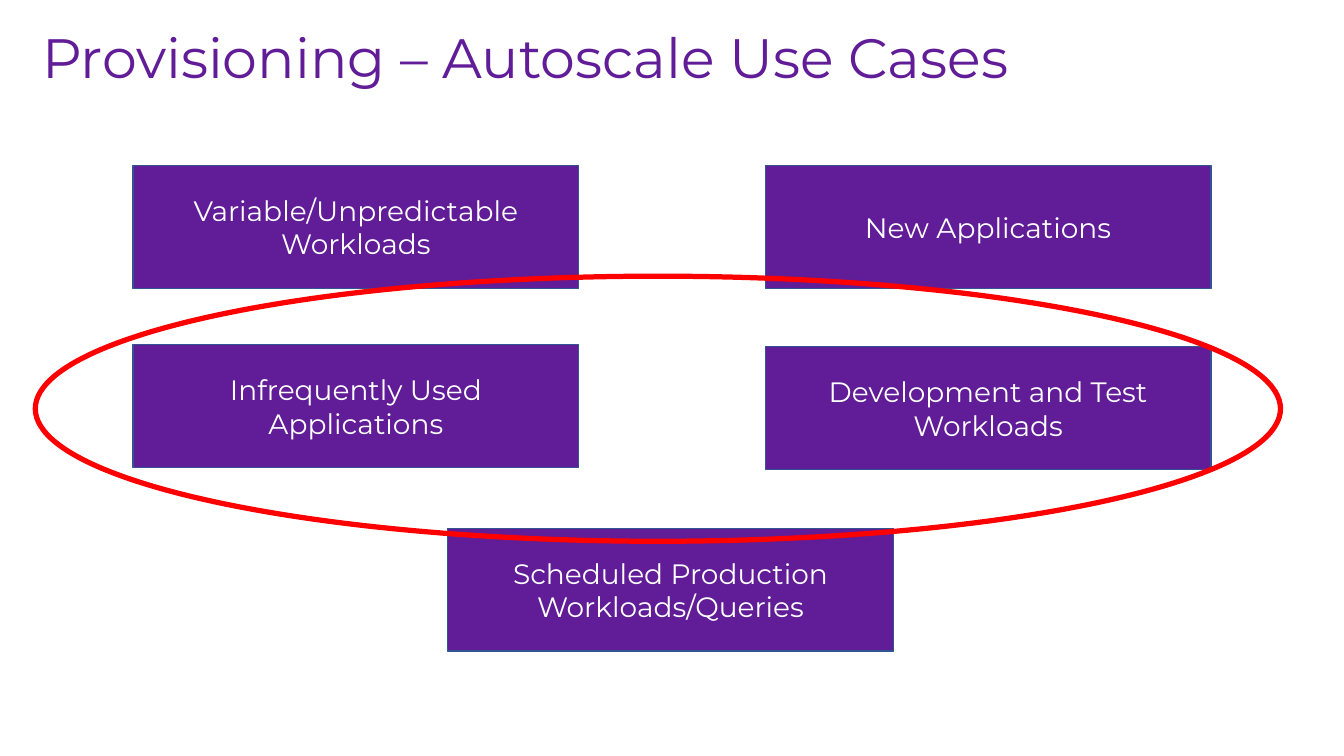
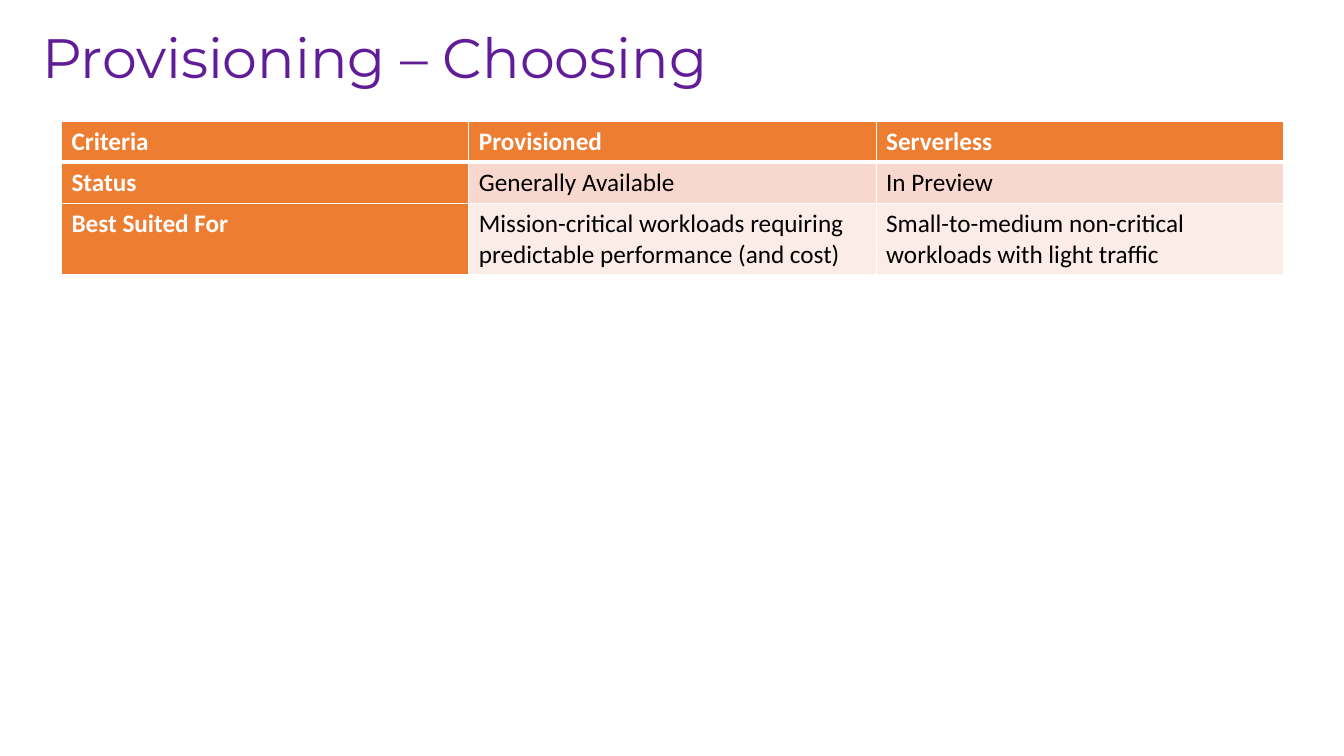
"""Build two slides about choosing a provisioning model."""
from dataclasses import dataclass

from lxml import etree
from pptx import Presentation
from pptx.dml.color import RGBColor
from pptx.enum.shapes import MSO_SHAPE
from pptx.enum.text import MSO_ANCHOR, PP_ALIGN
from pptx.oxml.ns import qn
from pptx.util import Inches, Pt

RECTANGLE = MSO_SHAPE.RECTANGLE
OVAL = MSO_SHAPE.OVAL
MIDDLE = MSO_ANCHOR.MIDDLE
CENTER = PP_ALIGN.CENTER
LEFT = PP_ALIGN.LEFT
BLANK_LAYOUT = 6


@dataclass(frozen=True)
class Theme:
    purple: str = "611C97"
    outline: str = "325491"
    highlight: str = "FF0000"
    header: str = "ED7D31"
    bands: tuple = ("F8D7CE", "FCECE8")
    white: str = "FFFFFF"
    black: str = "000000"
    display_font: str = "Montserrat"
    table_font: str = "Calibri"
    title_size: float = 39.6
    box_size: float = 20
    table_size: float = 18


class Deck:
    def __init__(self, theme):
        self.theme = theme
        self.presentation = Presentation()
        self.presentation.slide_width = Inches(13.33)
        self.presentation.slide_height = Inches(7.5)
        self.slide = None

    def set_text(self, frame, text, font, size, color, bold=False, align=LEFT):
        frame.word_wrap = True
        paragraph = frame.paragraphs[0]
        paragraph.text = text
        paragraph.alignment = align
        paragraph.font.name = font
        paragraph.font.size = Pt(size)
        paragraph.font.bold = bold
        paragraph.font.color.rgb = RGBColor.from_string(color)
        return paragraph

    def add_slide(self, title):
        layout = self.presentation.slide_layouts[BLANK_LAYOUT]
        self.slide = self.presentation.slides.add_slide(layout)
        heading = self.slide.shapes.add_textbox(
            Inches(0.32), Inches(0.23), Inches(12.66), Inches(0.74))
        heading.text_frame.vertical_anchor = MIDDLE
        paragraph = self.set_text(heading.text_frame, title, self.theme.display_font,
                                  self.theme.title_size, self.theme.purple)
        paragraph.line_spacing = 0.9

    def add_outlined(self, preset, left, top, width, height, color, weight):
        shape = self.slide.shapes.add_shape(
            preset, Inches(left), Inches(top), Inches(width), Inches(height))
        shape.shadow.inherit = False
        shape.line.color.rgb = RGBColor.from_string(color)
        shape.line.width = Pt(weight)
        return shape

    def add_box(self, text, left, top):
        box = self.add_outlined(RECTANGLE, left, top, 4.42, 1.22, self.theme.outline, 1)
        box.fill.solid()
        box.fill.fore_color.rgb = RGBColor.from_string(self.theme.purple)
        box.text_frame.vertical_anchor = MIDDLE
        self.set_text(box.text_frame, text, self.theme.display_font,
                      self.theme.box_size, self.theme.white, align=CENTER)

    def add_ring(self, left, top, width, height):
        ring = self.add_outlined(OVAL, left, top, width, height, self.theme.highlight, 3.75)
        ring.fill.background()

    def add_borders(self, cell, top, bottom):
        properties = cell._tc.get_or_add_tcPr()
        for side, weight in (("lnL", 1), ("lnR", 1), ("lnT", top), ("lnB", bottom)):
            line = etree.SubElement(properties, qn(f"a:{side}"), w=str(Pt(weight)))
            fill = etree.SubElement(line, qn("a:solidFill"))
            etree.SubElement(fill, qn("a:srgbClr"), val=self.theme.white)

    def add_table(self, rows, heights, left, top, column_width):
        columns = len(rows[0])
        table = self.slide.shapes.add_table(
            len(rows), columns, Inches(left), Inches(top),
            Inches(column_width * columns), Inches(sum(heights))).table
        for column in table.columns:
            column.width = Inches(column_width)
        for row_index, (texts, height) in enumerate(zip(rows, heights)):
            table.rows[row_index].height = Inches(height)
            for column_index, text in enumerate(texts):
                cell = table.cell(row_index, column_index)
                is_header = row_index == 0 or column_index == 0
                fill = self.theme.header if is_header else self.theme.bands[(row_index - 1) % 2]
                color = self.theme.white if is_header else self.theme.black
                self.add_borders(cell, top=3 if row_index == 1 else 1,
                                 bottom=3 if row_index == 0 else 1)
                cell.fill.solid()
                cell.fill.fore_color.rgb = RGBColor.from_string(fill)
                self.set_text(cell.text_frame, text, self.theme.table_font,
                              self.theme.table_size, color, bold=is_header)


def add_use_cases(deck):
    deck.add_slide("Provisioning – Autoscale Use Cases")
    left_column, right_column = 1.32, 7.59
    use_cases = (
        ("Variable/Unpredictable Workloads", left_column, 1.64),
        ("New Applications", right_column, 1.64),
        ("Infrequently Used Applications", left_column, 3.42),
        ("Development and Test Workloads", right_column, 3.44),
        ("Scheduled Production Workloads/Queries", 4.44, 5.24),
    )
    for use_case in use_cases:
        deck.add_box(*use_case)
    deck.add_ring(0.35, 2.74, 12.35, 2.63)


def add_choosing(deck):
    deck.add_slide("Provisioning – Choosing")
    criteria = (
        ("Criteria", "Provisioned", "Serverless"),
        ("Status", "Generally Available", "In Preview"),
        ("Best Suited For",
         "Mission-critical workloads requiring predictable performance (and cost)",
         "Small-to-medium non-critical workloads with light traffic"),
    )
    deck.add_table(criteria, (0.41, 0.41, 0.7), left=0.61, top=1.2, column_width=4.04)


def main():
    deck = Deck(Theme())
    add_use_cases(deck)
    add_choosing(deck)
    deck.presentation.save("out.pptx")


if __name__ == "__main__":
    main()
